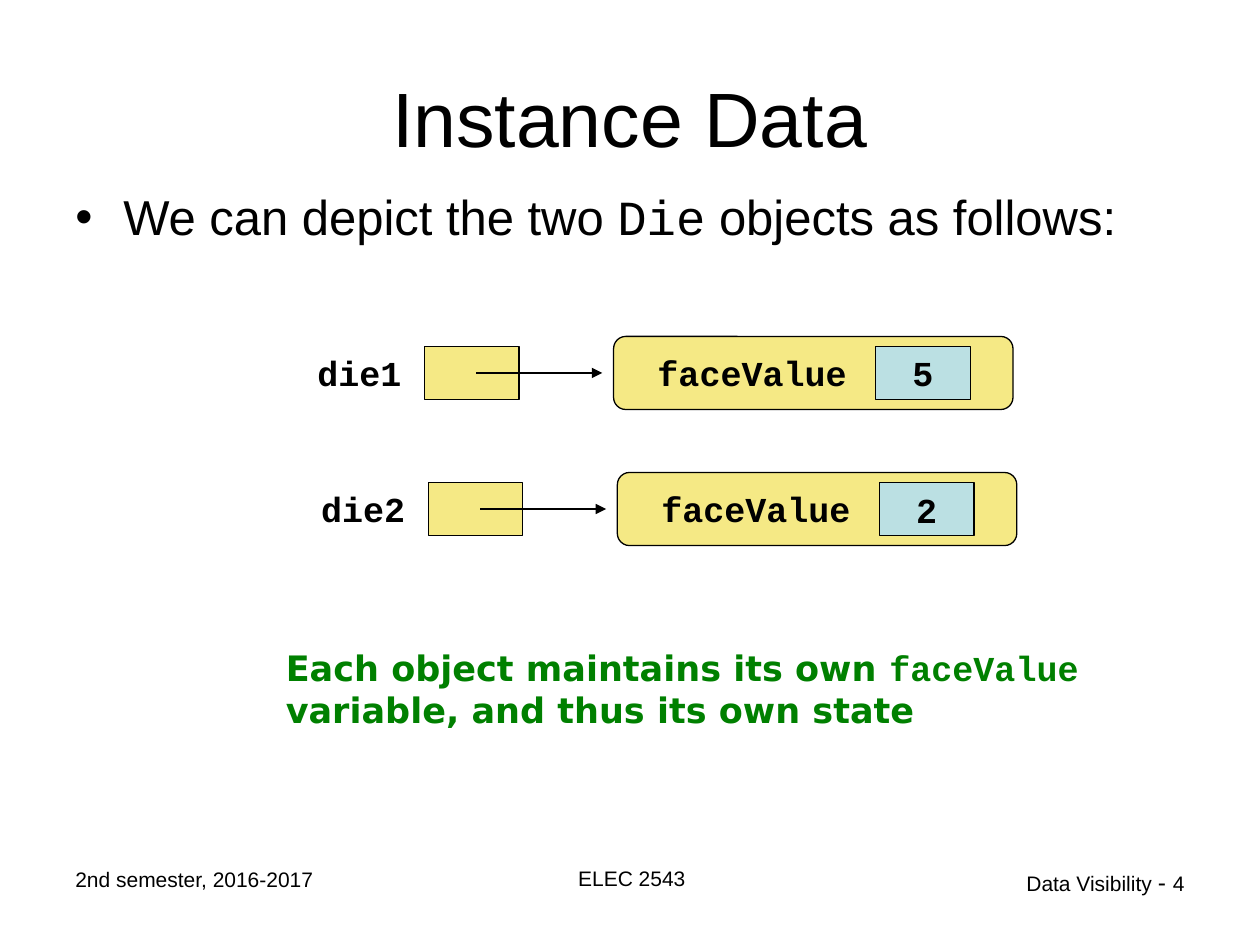
"""Build the Instance Data slide with two Die object diagrams."""
from lxml import etree
from pptx import Presentation
from pptx.dml.color import RGBColor
from pptx.enum import shapes, text
from pptx.oxml import ns
from pptx.util import Inches, Pt

COLORS = {"ink": "000000", "object": "F5E985", "value": "BBE0E3", "note": "008000"}
SANS, MONO, NOTE = "Arial", "Courier New", "DejaVu Sans"
LEFT, CENTER, RIGHT = text.PP_ALIGN.LEFT, text.PP_ALIGN.CENTER, text.PP_ALIGN.RIGHT
TOP, MIDDLE = text.MSO_ANCHOR.TOP, text.MSO_ANCHOR.MIDDLE
RECT, ROUND = shapes.MSO_SHAPE.RECTANGLE, shapes.MSO_SHAPE.ROUNDED_RECTANGLE

deck = Presentation()
deck.slide_width, deck.slide_height = Inches(10), Inches(7.5)
page = deck.slides.add_slide(deck.slide_layouts[6])


def write(box, runs, align=LEFT, anchor=TOP, wrap=True, color="ink", bold=False):
    frame = box.text_frame
    frame.word_wrap = wrap
    frame.vertical_anchor = anchor
    para = frame.paragraphs[0]
    para.alignment = align
    for words, font, size in runs:
        span = para.add_run()
        span.text = words
        span.font.name, span.font.size, span.font.bold = font, Pt(size), bold
        span.font.color.rgb = RGBColor.from_string(COLORS[color])
    return para


def add_block(kind, left, top, width, height, fill):
    block = page.shapes.add_shape(kind, *map(Inches, (left, top, width, height)))
    block.shadow.inherit = False
    block.fill.solid()
    block.fill.fore_color.rgb = RGBColor.from_string(COLORS[fill])
    block.line.color.rgb = RGBColor.from_string(COLORS["ink"])
    block.line.width = Pt(0.75)
    return block


title = page.shapes.add_textbox(Inches(0.5), Inches(0.3), Inches(9), Inches(1.25))
write(title, [("Instance Data", SANS, 44)], CENTER, MIDDLE)

body = page.shapes.add_textbox(Inches(0.5), Inches(1.48), Inches(9.08), Inches(1.11))
intro = write(body, [("We can depict the two ", SANS, 28), ("Die", MONO, 28),
                     (" objects as follows:", SANS, 28)])
intro.line_spacing, intro.space_before = 0.9, Pt(7)
layout = intro._p.get_or_add_pPr()
layout.set("marL", str(Inches(0.38)))
layout.set("indent", str(Inches(-0.38)))
etree.SubElement(layout, ns.qn("a:buFont"), typeface=SANS)
etree.SubElement(layout, ns.qn("a:buChar"), char="•")

for name, value, left, top in [("die1", "5", 2.42, 2.67), ("die2", "2", 2.45, 3.75)]:
    add_block(RECT, left + 0.95, top + 0.08, 0.75, 0.42, "object")
    add_block(ROUND, left + 2.45, top, 3.17, 0.58, "object")

    arrow_y = Inches(top + 0.29)
    arrow = page.shapes.add_connector(shapes.MSO_CONNECTOR.STRAIGHT, Inches(left + 1.36),
                                      arrow_y, Inches(left + 2.36), arrow_y)
    arrow.line.color.rgb = RGBColor.from_string(COLORS["ink"])
    arrow.line.width = Pt(0.75)
    etree.SubElement(arrow.line._get_or_add_ln(), ns.qn("a:tailEnd"), type="triangle")
    etree.SubElement(arrow._element.spPr, ns.qn("a:effectLst"))

    value_box = add_block(RECT, left + 4.53, top + 0.08, 0.75, 0.42, "value")
    write(value_box, [(value, MONO, 20)], CENTER, MIDDLE, wrap=False, bold=True)
    for label, offset, width in [(name, 0, 0.87), ("faceValue", 2.7, 1.7)]:
        label_box = page.shapes.add_textbox(Inches(left + offset), Inches(top + 0.07),
                                            Inches(width), Inches(0.44))
        write(label_box, [(label, MONO, 20)], wrap=False, bold=True)

note = page.shapes.add_textbox(Inches(2.17), Inches(5.08), Inches(7.17), Inches(0.77))
write(note, [("Each object maintains its own ", NOTE, 20), ("faceValue", MONO, 20),
             (" variable, and thus its own state", NOTE, 20)], color="note", bold=True)

footers = [
    (0.5, 6.83, 2.33, LEFT, [("2nd semester, 2016-2017", SANS, 12)]),
    (3.43, 6.82, 3.17, CENTER, [("ELEC 2543", SANS, 12)]),
    (7.17, 6.83, 2.33, RIGHT, [("Data Visibility ", SANS, 12), ("- ", SANS, 14), ("4", SANS, 12)]),
]
for left, top, width, align, runs in footers:
    footer = page.shapes.add_textbox(Inches(left), Inches(top), Inches(width), Inches(0.52))
    write(footer, runs, align)

deck.save("out.pptx")
